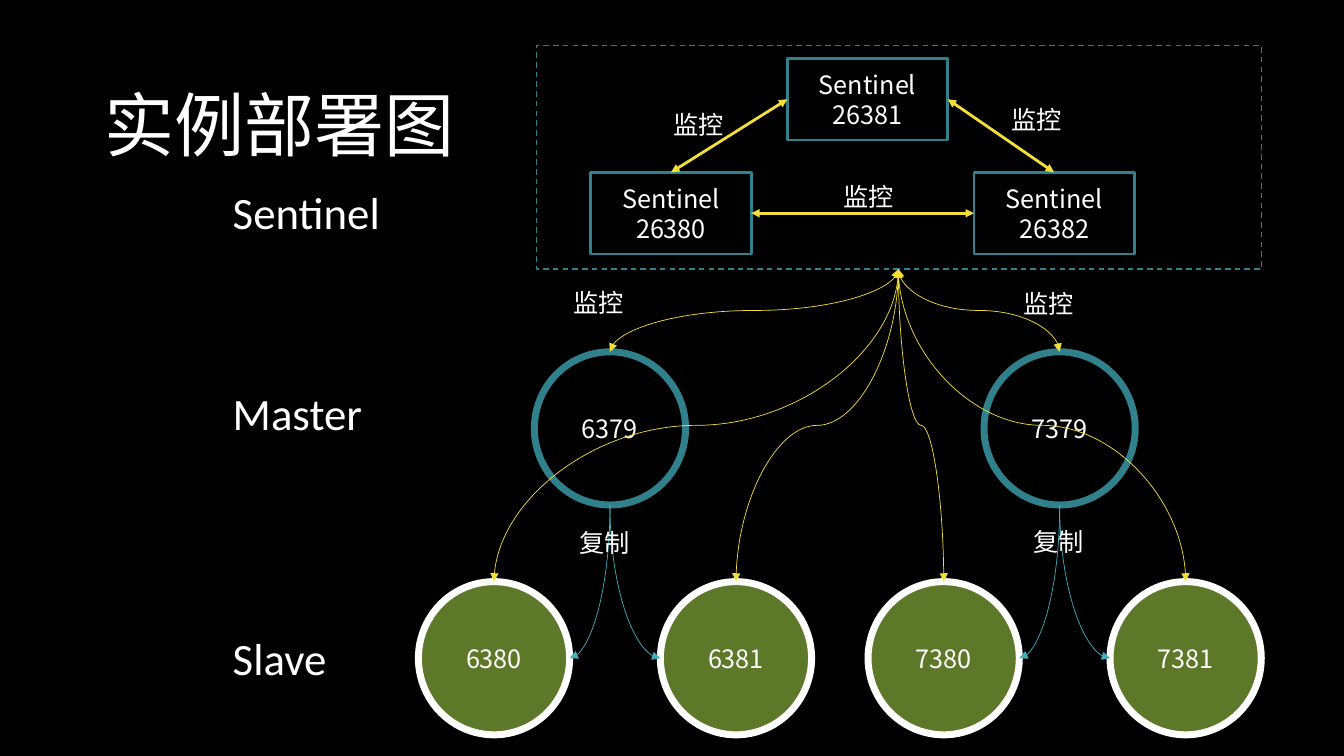
from lxml import etree
from pptx import Presentation
from pptx.dml.color import RGBColor
from pptx.enum import dml, shapes, text
from pptx.oxml.ns import qn
from pptx.util import Inches, Pt

BLACK = RGBColor(0x00, 0x00, 0x00)
WHITE = RGBColor(0xFF, 0xFF, 0xFF)
TEAL = RGBColor(0x30, 0x81, 0x8C)
CYAN = RGBColor(0x41, 0xAE, 0xBD)
YELLOW = RGBColor(0xF4, 0xDE, 0x3A)
GREEN = RGBColor(0xA2, 0xCF, 0x49)

prs = Presentation()
prs.slide_width, prs.slide_height = Inches(13.33), Inches(7.5)
s = prs.slides.add_slide(prs.slide_layouts[6])
s.background.fill.solid()
s.background.fill.fore_color.rgb = BLACK


def add_node(kind, x, y, w, h, label, color, width, fill=None):
    sp = s.shapes.add_shape(kind, Inches(x), Inches(y), Inches(w), Inches(h))
    sp.shadow.inherit = False
    sp.line.color.rgb = color
    sp.line.width = Pt(width)
    if fill is None:
        sp.fill.background()
    else:
        sp.fill.solid()
        sp.fill.fore_color.rgb = fill
        srgb = sp._element.spPr.find(qn("a:solidFill"))[0]
        etree.SubElement(srgb, qn("a:alpha"), val="58000")
    sp.text_frame.text = label
    for p in sp.text_frame.paragraphs:
        p.alignment = text.PP_ALIGN.CENTER
        p.font.size = Pt(18)
        p.font.name = "Noto Sans CJK SC"
        p.font.color.rgb = WHITE
    return sp


def add_arrow(kind, x1, y1, x2, y2, color, width, ends):
    cxn = s.shapes.add_connector(kind, Inches(x1), Inches(y1), Inches(x2), Inches(y2))
    cxn.line.color.rgb = color
    cxn.line.width = Pt(width)
    for end in ends:
        etree.SubElement(cxn.line._get_or_add_ln(), qn("a:" + end), type="triangle")
    etree.SubElement(cxn._element.spPr, qn("a:effectLst"))
    return cxn


RECT, OVAL = shapes.MSO_SHAPE.RECTANGLE, shapes.MSO_SHAPE.OVAL
STRAIGHT, CURVE = shapes.MSO_CONNECTOR.STRAIGHT, shapes.MSO_CONNECTOR.CURVE
BOTH = ("headEnd", "tailEnd")

# Sentinel cluster
cluster = add_node(RECT, 5.32, 0.45, 7.19, 2.22, "", TEAL, 1)
cluster.line.dash_style = dml.MSO_LINE.DASH
left, top, right = [
    add_node(RECT, x, y, 1.59, 0.81, f"Sentinel\n{port}", TEAL, 2)
    for x, y, port in [(5.86, 1.71, 26380), (7.81, 0.58, 26381), (9.66, 1.71, 26382)]
]
for a, a_side, b, b_side in [(left, 0, top, 1), (top, 3, right, 0), (left, 3, right, 1)]:
    cxn = add_arrow(STRAIGHT, 0, 0, 1, 1, YELLOW, 2, BOTH)
    cxn.begin_connect(a, a_side)
    cxn.end_connect(b, b_side)

# Masters with two slaves each; collect the curves between them
D_W, D_H = 1.5, 1.52
MASTER_Y, SLAVE_Y = 3.49, 5.77
HUB = (8.91, 2.67)
curves = []
for x, port in [(5.3, 6379), (9.76, 7379)]:
    add_node(OVAL, x, MASTER_Y, D_W, D_H, str(port), TEAL, 5)
    mid = x + D_W / 2
    curves.append((*HUB, mid, MASTER_Y, YELLOW, BOTH, "curvedConnector3"))
    for n, slave_x, inner_x in [(1, x - 1.15, x + 0.35), (2, x + 1.25, x + 1.25)]:
        add_node(OVAL, slave_x, SLAVE_Y, D_W, D_H, str(port + n), WHITE, 5, GREEN)
        curves.append((*HUB, slave_x + D_W / 2, SLAVE_Y, YELLOW, BOTH, "curvedConnector3"))
        curves.append((mid, MASTER_Y + D_H, inner_x, SLAVE_Y + D_H / 2,
                       CYAN, ("tailEnd",), "curvedConnector2"))

# Curves leave downwards: lay each one on its side, then turn it by a quarter
for x1, y1, x2, y2, color, ends, preset in curves:
    cx, cy = (x1 + x2) / 2, (y1 + y2) / 2
    half_w, half_h = (y2 - y1) / 2, abs(x2 - x1) / 2
    turn = 90
    if x2 > x1:
        half_w, turn = -half_w, 270
    cxn = add_arrow(CURVE, cx - half_w, cy - half_h, cx + half_w, cy + half_h,
                    color, 0.5, ends)
    spPr = cxn._element.spPr
    spPr.find(qn("a:xfrm")).set("rot", str(turn * 60000))
    spPr.find(qn("a:prstGeom")).set("prst", preset)

# Title, row names and arrow labels
for x, y, w, h, size, label in [
    (0.94, 0.76, 11.24, 0.94, 50, "实例部署图"),
    (2.21, 1.78, 1.73, 0.64, 32, "Sentinel"),
    (2.21, 3.78, 1.5, 0.64, 32, "Master"),
    (2.21, 6.21, 1.2, 0.64, 32, "Slave"),
    (6.58, 1.04, 0.71, 0.4, 18, "监控"),
    (9.93, 0.99, 0.71, 0.4, 18, "监控"),
    (8.27, 1.75, 0.71, 0.4, 18, "监控"),
    (5.59, 2.8, 0.71, 0.4, 18, "监控"),
    (10.05, 2.81, 0.71, 0.4, 18, "监控"),
    (5.65, 5.18, 0.71, 0.4, 18, "复制"),
    (10.15, 5.17, 0.71, 0.4, 18, "复制"),
]:
    tf = s.shapes.add_textbox(Inches(x), Inches(y), Inches(w), Inches(h)).text_frame
    tf.word_wrap = size == 50
    tf.auto_size = text.MSO_AUTO_SIZE.SHAPE_TO_FIT_TEXT
    p = tf.paragraphs[0]
    p.text = label
    p.font.size = Pt(size)
    p.font.name = "Calibri"
    p.font.color.rgb = WHITE

prs.save("out.pptx")
